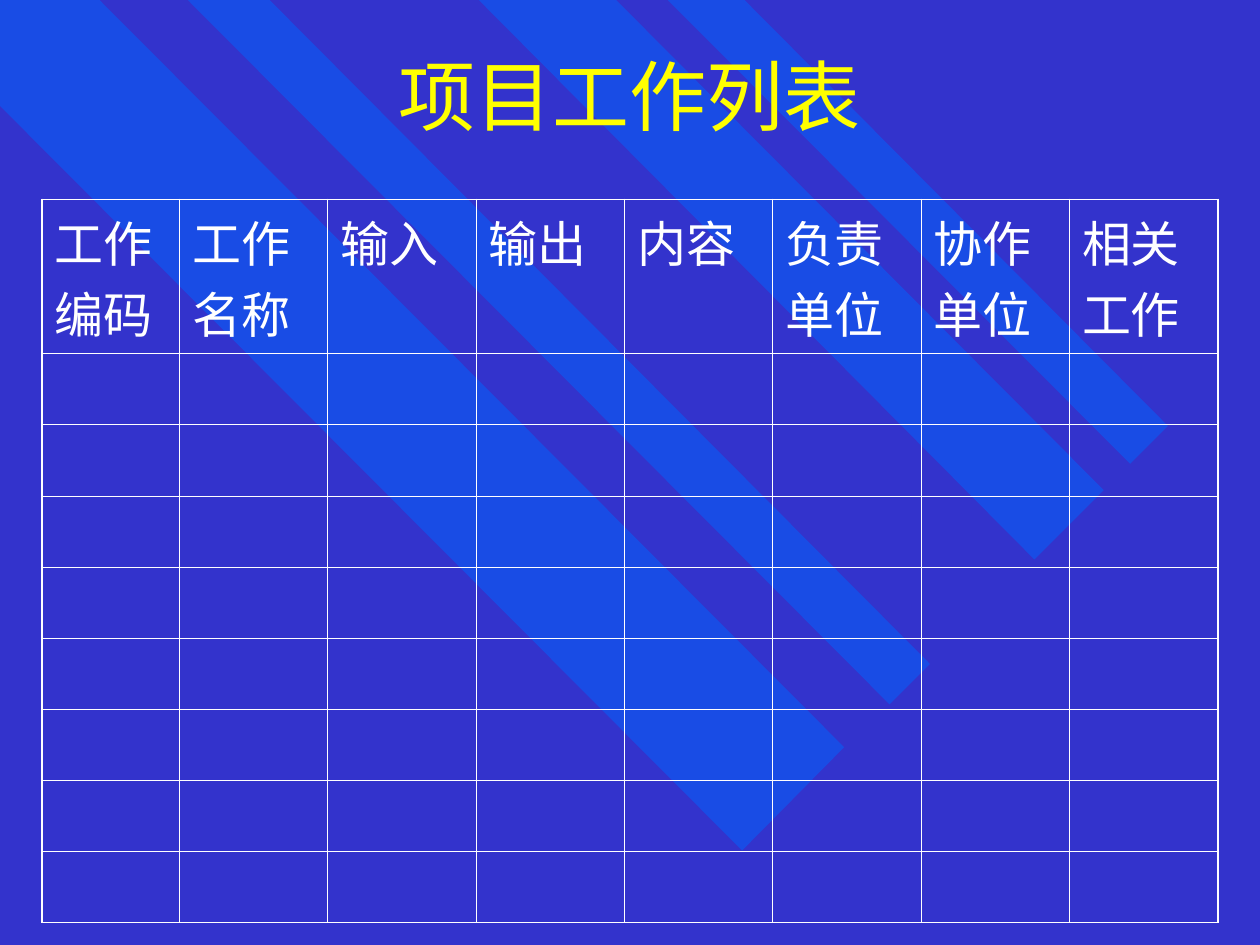
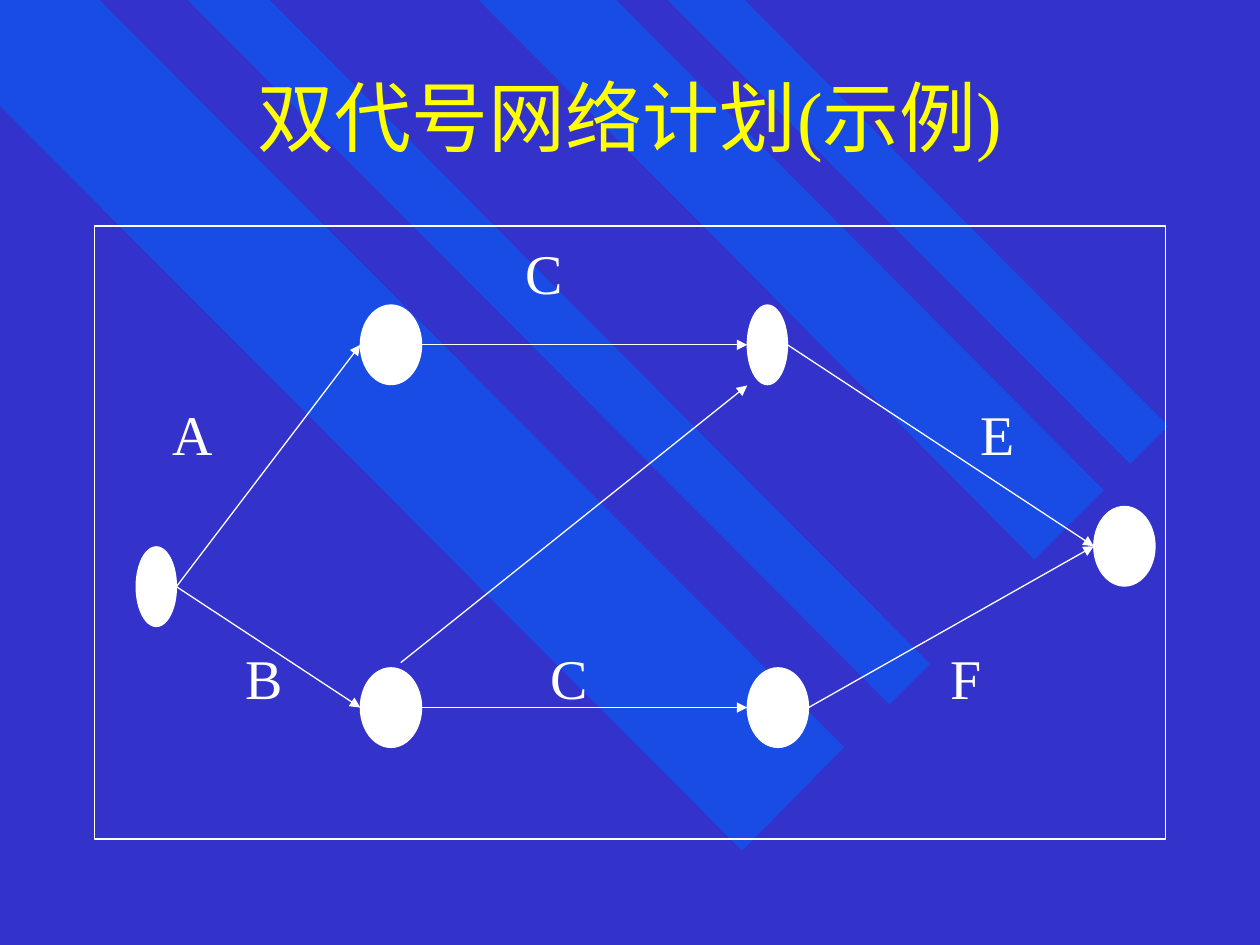
from lxml import etree
from pptx import Presentation
from pptx.dml.color import RGBColor
from pptx.enum.shapes import MSO_CONNECTOR, MSO_SHAPE
from pptx.enum.text import MSO_ANCHOR, PP_ALIGN
from pptx.oxml.ns import qn
from pptx.util import Pt

RECT, OVAL = MSO_SHAPE.RECTANGLE, MSO_SHAPE.OVAL
STRAIGHT = MSO_CONNECTOR.STRAIGHT
MIDDLE, CENTER = MSO_ANCHOR.MIDDLE, PP_ALIGN.CENTER
TITLE_ONLY = 5

FONT = "Times New Roman"
BACK, BAND, YELLOW, WHITE = "3333CC", "0066FF", "FFFF00", "FFFFFF"
THIN, THICK = 0.45, 1.08

# Diagonal background bands, outlines in points
BANDS = [
    [(482.4, 427), (56.9, 0), (0, 0), (0, 60.5), (424.1, 486)],
    [(154.1, 0), (531.4, 379.4), (508.3, 402.5), (107.3, 0)],
    [(352.1, 0), (630.7, 280.1), (591.1, 319.7), (273.6, 0)],
    [(381.6, 0), (645.8, 265), (667.4, 243.4), (425.5, 0)],
]

HEADERS = ["工作编码", "工作名称", "输入", "输出",
           "内容", "负责单位", "协作单位", "相关工作"]
EMPTY_ROWS = 8

# Network plan, relative to its frame: node name -> left, top, width
NODE_H = 45.5
NODES = {
    "start": (23.8, 183.5, 23),
    "top left": (151.9, 45.3, 35),
    "bottom left": (151.9, 252.6, 35),
    "top right": (373, 45.3, 23),
    "bottom right": (373, 252.6, 35),
    "end": (571, 160.4, 35),
}
ACTIVITIES = [
    ("start", "top left"), ("start", "bottom left"),
    ("top left", "top right"), ("bottom left", "bottom right"),
    ("top right", "end"), ("bottom right", "end"),
]
DUMMY = ((175, 249.7), (373, 91.3))
# Text and centre of each label
LABELS = [("C", 257, 25.5), ("A", 56, 118), ("E", 516, 118),
          ("B", 97, 257), ("C", 271, 257), ("F", 498, 257)]
LABEL_W, LABEL_H = 40, 37


def rgb(color):
    return RGBColor.from_string(color)


def add_run(p, text, size, color):
    r = p.add_run()
    r.text = text
    r.font.name, r.font.size = FONT, Pt(size)
    r.font.color.rgb = rgb(color)


def set_line(sp, width):
    sp.line.color.rgb = rgb(WHITE)
    sp.line.width = Pt(width)


def add_master_bands(prs, slide):
    """Draw the bands and move them behind everything on the master."""
    master = prs.slide_master
    master.background.fill.solid()
    master.background.fill.fore_color.rgb = rgb(BACK)
    tree = master.element.cSld.spTree
    for i, outline in enumerate(BANDS):
        points = [(Pt(x), Pt(y)) for x, y in outline]
        builder = slide.shapes.build_freeform(*points[0])
        builder.add_line_segments(points[1:], close=True)
        sp = builder.convert_to_shape()
        sp.shadow.inherit = False
        sp.fill.solid()
        sp.fill.fore_color.rgb = rgb(BAND)
        sp.line.fill.background()
        clr = sp.element.spPr.find(".//" + qn("a:srgbClr"))
        etree.SubElement(clr, qn("a:alpha"), val="50000")
        tree.insert(2 + i, sp.element)


def set_title(slide, text, top):
    title = slide.shapes.title
    title.left, title.top = Pt(54), Pt(top)
    title.width, title.height = Pt(612), Pt(96)
    tf = title.text_frame
    tf.word_wrap, tf.vertical_anchor = True, MIDDLE
    p = tf.paragraphs[0]
    p.alignment = CENTER
    add_run(p, text, 44, YELLOW)


def set_borders(cell, widths):
    """Widths in the order left, right, top, bottom."""
    tcPr = cell._tc.get_or_add_tcPr()
    for i, (side, width) in enumerate(zip("LRTB", widths)):
        ln = etree.Element(qn("a:ln" + side), w=str(Pt(width)))
        fill = etree.SubElement(ln, qn("a:solidFill"))
        etree.SubElement(fill, qn("a:srgbClr"), val=WHITE)
        tcPr.insert(i, ln)


def add_work_table(slide, left, top, width, height):
    n_rows, n_cols = EMPTY_ROWS + 1, len(HEADERS)
    table = slide.shapes.add_table(n_rows, n_cols, Pt(left), Pt(top),
                                   Pt(width), Pt(height)).table
    table.first_row = table.horz_banding = False
    first_w, head_h = 78.6, 75
    for c, col in enumerate(table.columns):
        col.width = Pt((width - first_w) / (n_cols - 1) if c else first_w)
    for r, row in enumerate(table.rows):
        row.height = Pt((height - head_h) / EMPTY_ROWS if r else head_h)
        for c, cell in enumerate(row.cells):
            cell.fill.background()
            outer = (c == 0, c == n_cols - 1, r == 0, r == n_rows - 1)
            set_borders(cell, [THICK if edge else THIN for edge in outer])
            if r == 0:
                add_run(cell.text_frame.paragraphs[0], HEADERS[c], 28, WHITE)


def add_arrow(slide, x1, y1, x2, y2):
    line = slide.shapes.add_connector(STRAIGHT, Pt(x1), Pt(y1), Pt(x2), Pt(y2))
    set_line(line, 0.75)
    spPr = line.element.spPr
    etree.SubElement(spPr.find(qn("a:ln")), qn("a:tailEnd"), type="triangle")
    etree.SubElement(spPr, qn("a:effectLst"))


def add_network(slide, left, top, width, height):
    shapes = slide.shapes

    # Frame
    frame = shapes.add_shape(RECT, Pt(left), Pt(top), Pt(width), Pt(height))
    frame.shadow.inherit = False
    frame.fill.background()
    set_line(frame, 1)

    # Activity labels
    for text, x, y in LABELS:
        box = shapes.add_textbox(Pt(left + x - LABEL_W / 2),
                                 Pt(top + y - LABEL_H / 2),
                                 Pt(LABEL_W), Pt(LABEL_H))
        tf = box.text_frame
        tf.word_wrap = True
        tf.margin_left = tf.margin_right = tf.margin_top = tf.margin_bottom = 0
        p = tf.paragraphs[0]
        p.alignment = CENTER
        add_run(p, text, 32, WHITE)

    # Event nodes
    for x, y, w in NODES.values():
        node = shapes.add_shape(OVAL, Pt(left + x), Pt(top + y), Pt(w), Pt(NODE_H))
        node.shadow.inherit = False
        node.fill.solid()
        node.fill.fore_color.rgb = rgb(WHITE)
        set_line(node, 0.75)

    # Activities run from the right side of a node to the left of the next
    for tail, head in ACTIVITIES:
        x1, y1, w = NODES[tail]
        x2, y2, _ = NODES[head]
        add_arrow(slide, left + x1 + w, top + y1 + NODE_H / 2,
                  left + x2, top + y2 + NODE_H / 2)
    (x1, y1), (x2, y2) = DUMMY
    add_arrow(slide, left + x1, top + y1, left + x2, top + y2)


def main():
    prs = Presentation()
    prs.slide_width, prs.slide_height = Pt(720), Pt(540)
    layout = prs.slide_layouts[TITLE_ONLY]

    work_list = prs.slides.add_slide(layout)
    add_master_bands(prs, work_list)
    set_title(work_list, "项目工作列表", 6)
    add_work_table(work_list, 24, 114, 672, 400)

    network = prs.slides.add_slide(layout)
    set_title(network, "双代号网络计划(示例)", 18)
    add_network(network, 54, 129, 612, 350.6)

    prs.save("out.pptx")


if __name__ == "__main__":
    main()
